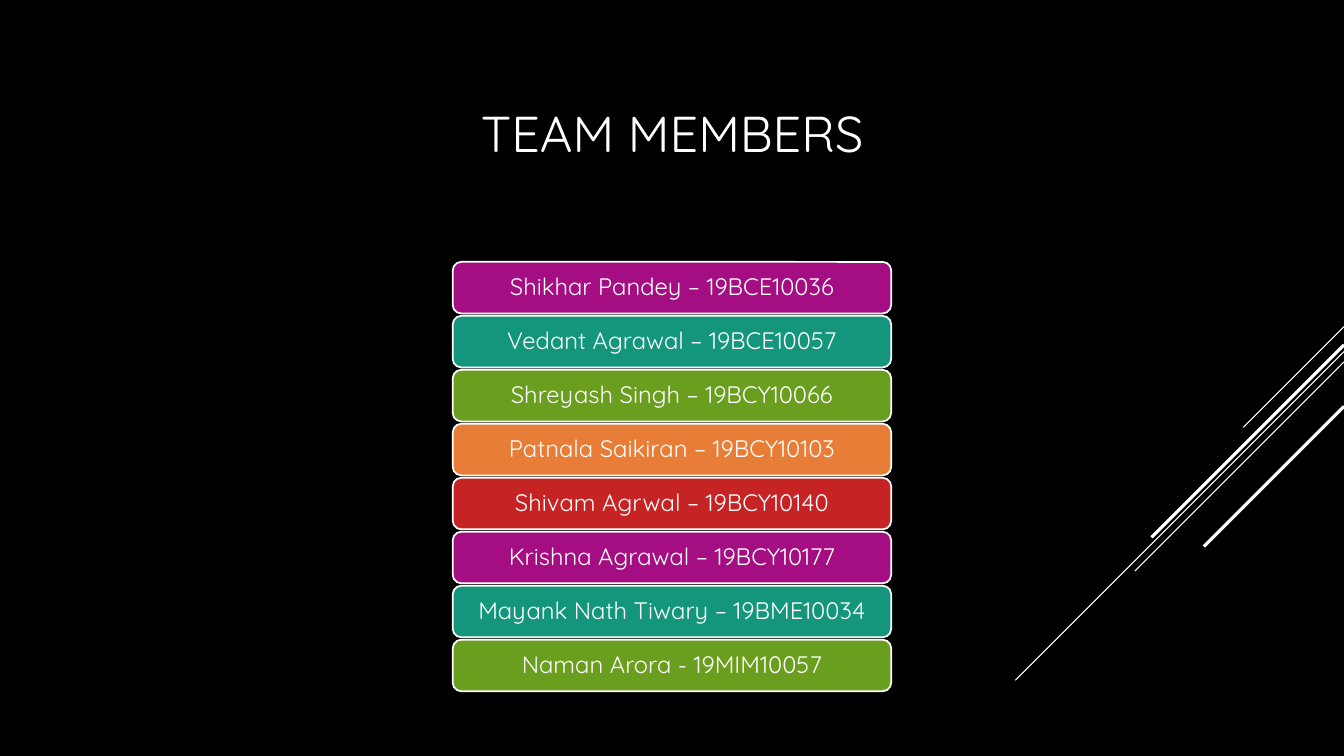
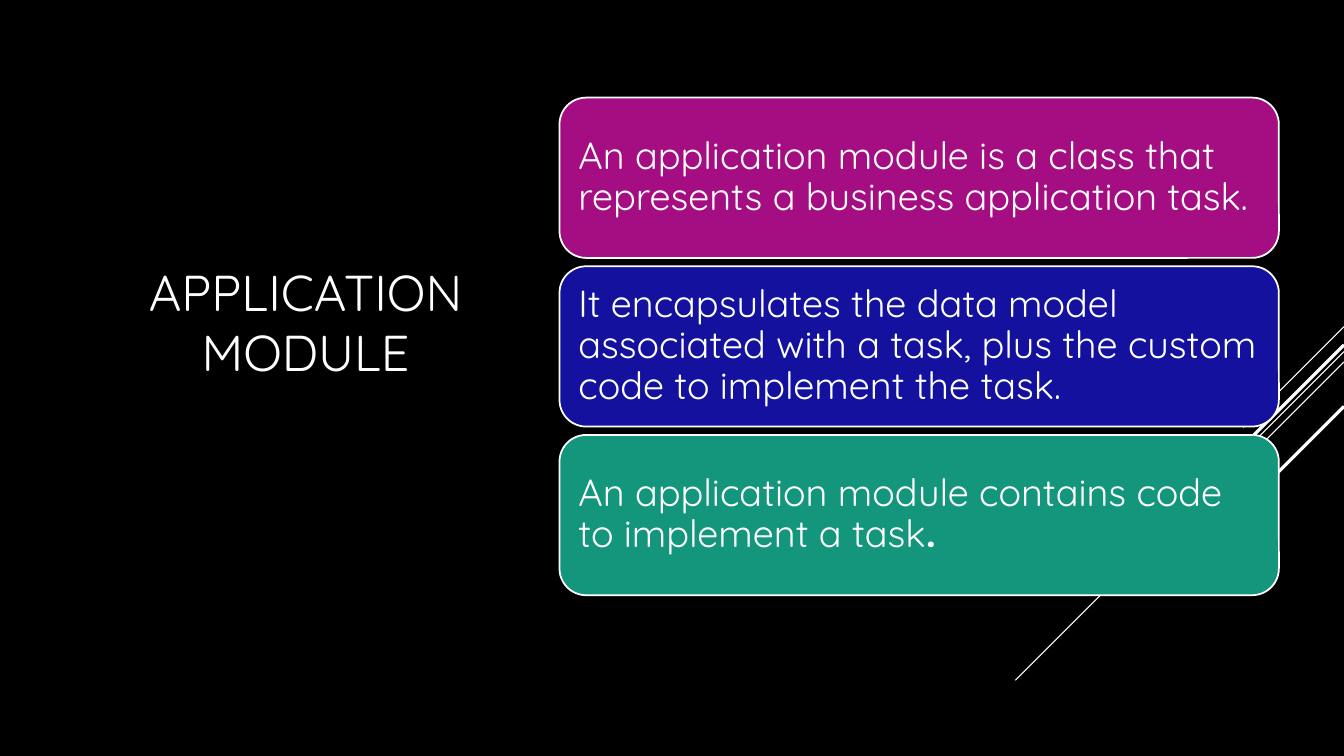
from lxml import etree
from pptx import Presentation
from pptx.dml.color import RGBColor
from pptx.enum import shapes, text
from pptx.oxml.ns import qn
from pptx.util import Cm, Pt

COLORS = {
    "black": "000000", "white": "FFFFFF", "purple": "A50E82", "teal": "14967C",
    "green": "6A9E1F", "orange": "E87D37", "red": "C62324", "blue": "13119D",
}
FONT = "Quicksand"
WIDTH, HEIGHT = 33.87, 19.05

# Diagonals from the right edge: start height and reach in cm, weight in points
DIAGONALS = [
    (8.23, 2.54, 0.75),
    (8.86, 8.28, 0.75),
    (9.12, 5.27, 0.75),
    (8.69, 4.85, 2.25),
    (10.24, 3.53, 2.25),
]

# Lengths in cm; every card is a list of (text, font, bold) runs
SLIDES = [
    {
        "title": "TEAM MEMBERS",
        "title_box": (3.96, 1.96, 25.96, 2.77),
        "first_card": (11.41, 6.6, 11.05, 1.3),
        "gap": 0.06,
        "inset": 0.15,
        "size": 17,
        "align": text.PP_ALIGN.CENTER,
        "colors": ["purple", "teal", "green", "orange", "red"],
        "cards": [[(member, FONT, False)] for member in (
            "Shikhar Pandey – 19BCE10036",
            "Vedant Agrawal – 19BCE10057",
            "Shreyash Singh – 19BCY10066",
            "Patnala Saikiran – 19BCY10103",
            "Shivam Agrwal – 19BCY10140",
            "Krishna Agrawal – 19BCY10177",
            "Mayank Nath Tiwary – 19BME10034",
            "Naman Arora - 19MIM10057",
        )],
    },
    {
        "title": "APPLICATION MODULE",
        "title_box": (2.44, 3.07, 10.52, 10.06),
        "first_card": (14.1, 2.46, 18.13, 4.04),
        "gap": 0.21,
        "inset": 0.28,
        "size": 27,
        "align": text.PP_ALIGN.LEFT,
        "colors": ["purple", "blue", "teal"],
        "cards": [
            [("An application module is a class that represents a business "
              "application task.", FONT, False)],
            [("It encapsulates the data model associated with a task, plus the "
              "custom code to implement the task.", FONT, False)],
            [("An application module contains code to implement a task", FONT, False),
             (".", "Roboto", True)],
        ],
    },
]


def color(name):
    return RGBColor.from_string(COLORS[name])


def format_run(r, size, font=FONT, bold=False):
    r.font.size = Pt(size)
    r.font.name = font
    r.font.bold = bold
    r.font.color.rgb = color("white")


def add_title(s, wording, box):
    title = s.shapes.title
    title.left, title.top, title.width, title.height = map(Cm, box)
    tf = title.text_frame
    tf.text = wording
    tf.word_wrap = True
    tf.auto_size = text.MSO_AUTO_SIZE.NONE
    tf.vertical_anchor = text.MSO_ANCHOR.MIDDLE
    p = tf.paragraphs[0]
    p.alignment = text.PP_ALIGN.CENTER
    format_run(p.runs[0], 36)


def add_diagonals(s):
    for top, reach, weight in DIAGONALS:
        line = s.shapes.add_connector(
            shapes.MSO_CONNECTOR.STRAIGHT,
            Cm(WIDTH), Cm(top), Cm(WIDTH - reach), Cm(top + reach))
        line.line.color.rgb = color("white")
        line.line.width = Pt(weight)
        etree.SubElement(line._element.spPr, qn("a:effectLst"))


def add_card(s, box, fill, runs, content):
    card = s.shapes.add_shape(shapes.MSO_SHAPE.ROUNDED_RECTANGLE, *map(Cm, box))
    card.shadow.inherit = False
    card.fill.solid()
    card.fill.fore_color.rgb = color(fill)
    card.line.color.rgb = color("white")
    card.line.width = Pt(1.25)
    tf = card.text_frame
    tf.word_wrap = True
    tf.vertical_anchor = text.MSO_ANCHOR.MIDDLE
    inset = Cm(content["inset"])
    tf.margin_left = tf.margin_right = inset
    tf.margin_top = tf.margin_bottom = inset
    p = tf.paragraphs[0]
    p.alignment = content["align"]
    p.line_spacing = 0.9
    for wording, font, bold in runs:
        r = p.add_run()
        r.text = wording
        format_run(r, content["size"], font, bold)


def add_cards(s, content):
    left, top, width, height = content["first_card"]
    fills = content["colors"]
    for i, runs in enumerate(content["cards"]):
        box = (left, top + i * (height + content["gap"]), width, height)
        add_card(s, box, fills[i % len(fills)], runs, content)


def main():
    prs = Presentation()
    prs.slide_width, prs.slide_height = Cm(WIDTH), Cm(HEIGHT)
    background = prs.slide_master.background.fill
    background.solid()
    background.fore_color.rgb = color("black")
    title_only = prs.slide_layouts.get_by_name("Title Only")
    for content in SLIDES:
        s = prs.slides.add_slide(title_only)
        add_diagonals(s)
        add_title(s, content["title"], content["title_box"])
        add_cards(s, content)
    prs.save("out.pptx")


if __name__ == "__main__":
    main()
